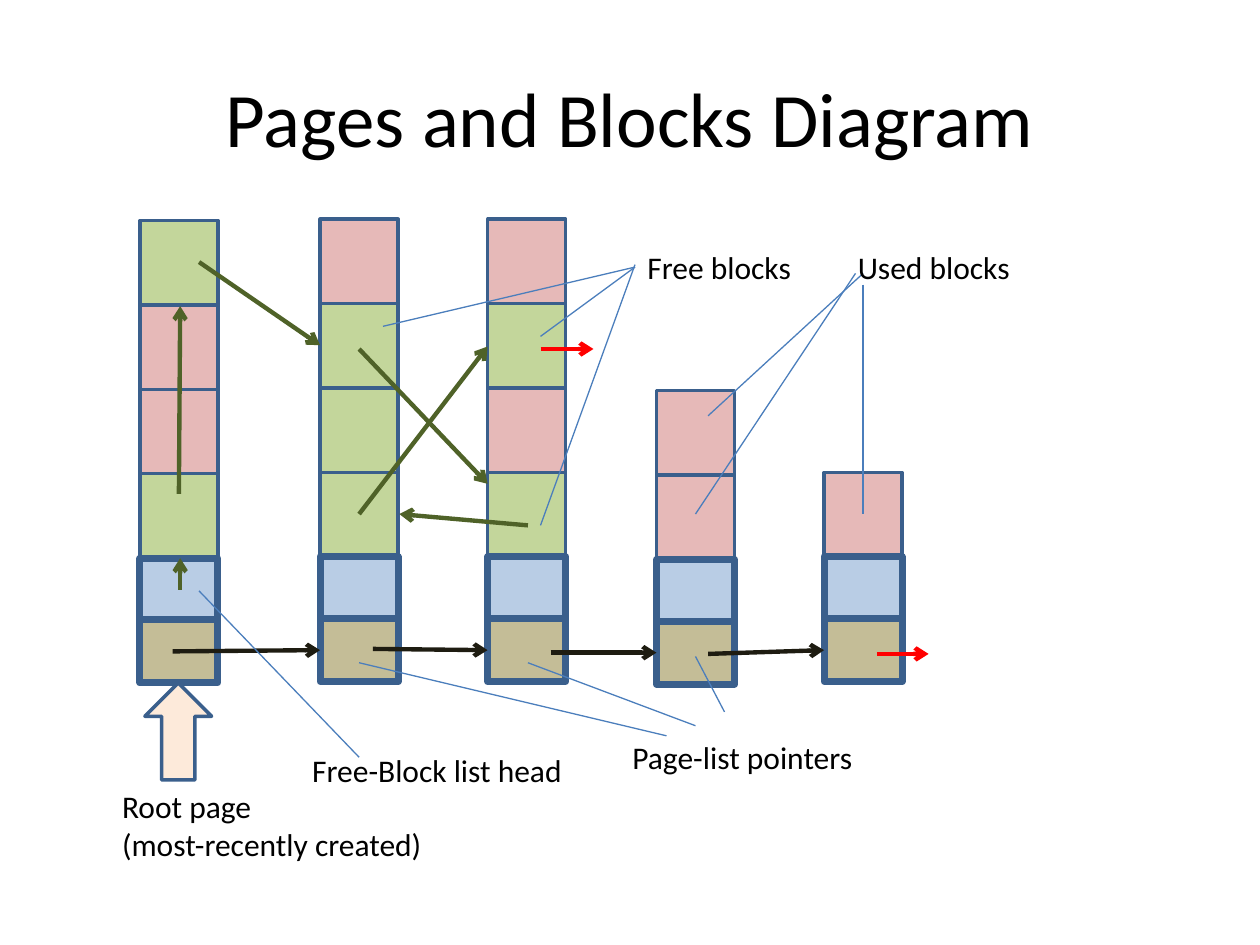
"""Build the Pages and Blocks Diagram slide."""
from lxml import etree
from pptx import Presentation
from pptx.dml.color import RGBColor
from pptx.enum.shapes import MSO_CONNECTOR, MSO_SHAPE
from pptx.enum.text import MSO_ANCHOR, PP_ALIGN
from pptx.oxml.ns import qn
from pptx.util import Inches, Pt

RECTANGLE = MSO_SHAPE.RECTANGLE
UP_ARROW = MSO_SHAPE.UP_ARROW
STRAIGHT = MSO_CONNECTOR.STRAIGHT
MIDDLE = MSO_ANCHOR.MIDDLE
CENTER, LEFT = PP_ALIGN.CENTER, PP_ALIGN.LEFT

COLORS = {
    "text": "000000", "outline": "3A5F8C", "free": "C3D69B", "used": "E6B9B8",
    "pointer": "C4BD97", "head": "B9CDE5", "root": "FDEADA",
    "page link": "1E1C11", "free link": "4F6228", "end link": "FF0000", "callout": "4B7EBC",
}
BLOCK_WIDTH, BLOCK_HEIGHT, BLOCK_STEP = 0.62, 0.67, 0.67
POINTER_HEIGHT, HEAD_HEIGHT = 0.5, 0.49

deck = Presentation()
deck.slide_width, deck.slide_height = Inches(10), Inches(7.5)
page = deck.slides.add_slide(deck.slide_layouts[6])


def add_block(kind, left, top, width, height, color, line_width):
    block = page.shapes.add_shape(kind, Inches(left), Inches(top), Inches(width), Inches(height))
    block.shadow.inherit = False
    block.fill.solid()
    block.fill.fore_color.rgb = RGBColor.from_string(COLORS[color])
    block.line.color.rgb = RGBColor.from_string(COLORS["outline"])
    block.line.width = Pt(line_width)


def add_label(text, left, top, width, height, size, wrap, align):
    box = page.shapes.add_textbox(Inches(left), Inches(top), Inches(width), Inches(height))
    frame = box.text_frame
    frame.word_wrap = wrap
    frame.text = text
    for para in frame.paragraphs:
        para.alignment = align
        for span in para.runs:
            span.font.size = Pt(size)
            span.font.name = "Calibri"
            span.font.color.rgb = RGBColor.from_string(COLORS["text"])
    return box


title = add_label("Pages and Blocks Diagram", 0.5, 0.3, 9, 1.25, 44, True, CENTER)
title.text_frame.vertical_anchor = MIDDLE

memory_pages = [
    (1.11, 5.42, ["free", "used", "used", "free"]),
    (2.54, 5.41, ["free", "free", "free", "used"]),
    (3.87, 5.41, ["free", "used", "free", "used"]),
    (5.21, 5.43, ["used", "used"]),
    (6.54, 5.41, ["used"]),
]
for left, bottom, blocks in memory_pages:
    pointer_top = bottom - POINTER_HEIGHT
    head_top = pointer_top - HEAD_HEIGHT
    for level, state in enumerate(blocks, start=1):
        add_block(RECTANGLE, left, head_top - level * BLOCK_STEP, BLOCK_WIDTH, BLOCK_HEIGHT, state, 2)
    add_block(RECTANGLE, left, pointer_top, BLOCK_WIDTH, POINTER_HEIGHT, "pointer", 4)
    add_block(RECTANGLE, left, head_top, BLOCK_WIDTH, HEAD_HEIGHT, "head", 4)

add_block(UP_ARROW, 1.15, 5.42, 0.53, 0.77, "root", 2)

links = {
    "page link": [
        (1.37, 5.17, 2.54, 5.16), (2.96, 5.15, 3.87, 5.16),
        (4.37, 5.18, 5.21, 5.18), (5.62, 5.19, 6.54, 5.16),
    ],
    "free link": [
        (1.43, 4.68, 1.43, 4.43), (1.42, 3.92, 1.43, 2.43), (1.58, 2.08, 2.54, 2.74),
        (2.85, 2.77, 3.87, 3.84), (4.19, 4.17, 3.17, 4.08), (2.85, 4.08, 3.87, 2.75),
    ],
    "end link": [(4.29, 2.77, 4.71, 2.77), (6.96, 5.19, 7.37, 5.19)],
    "callout": [
        (5.62, 3.3, 6.85, 2.17), (6.85, 2.26, 6.85, 4.08), (5.52, 4.08, 6.79, 2.17),
        (3.04, 2.59, 5.04, 2.12), (4.29, 2.67, 5.04, 2.12), (4.29, 4.17, 5.04, 2.1),
        (5.52, 5.21, 5.75, 5.65), (2.85, 5.26, 5.29, 5.84), (4.19, 5.26, 5.52, 5.76),
        (1.58, 4.69, 2.85, 6.01),
    ],
}
for role, routes in links.items():
    for route in routes:
        link = page.shapes.add_connector(STRAIGHT, *[Inches(value) for value in route])
        link.line.color.rgb = RGBColor.from_string(COLORS[role])
        link.line.width = Pt(0.75 if role == "callout" else 2.5)
        if role != "callout":
            etree.SubElement(link.line._get_or_add_ln(), qn("a:tailEnd"), type="arrow")
        etree.SubElement(link._element.spPr, qn("a:effectLst"))

labels = [
    ("Used blocks", 6.71, 1.92, 1.5, 0.4, True),
    ("Free blocks", 5.04, 1.92, 1.42, 0.4, True),
    ("Page-list pointers", 4.92, 5.81, 3.39, 0.4, True),
    ("Free-Block list head", 2.38, 5.91, 2.2, 0.71, False),
    ("Root page\n(most-recently created)", 0.87, 6.2, 2.61, 0.71, False),
]
for text, left, top, width, height, wrap in labels:
    add_label(text, left, top, width, height, 18, wrap, LEFT)

deck.save("out.pptx")
